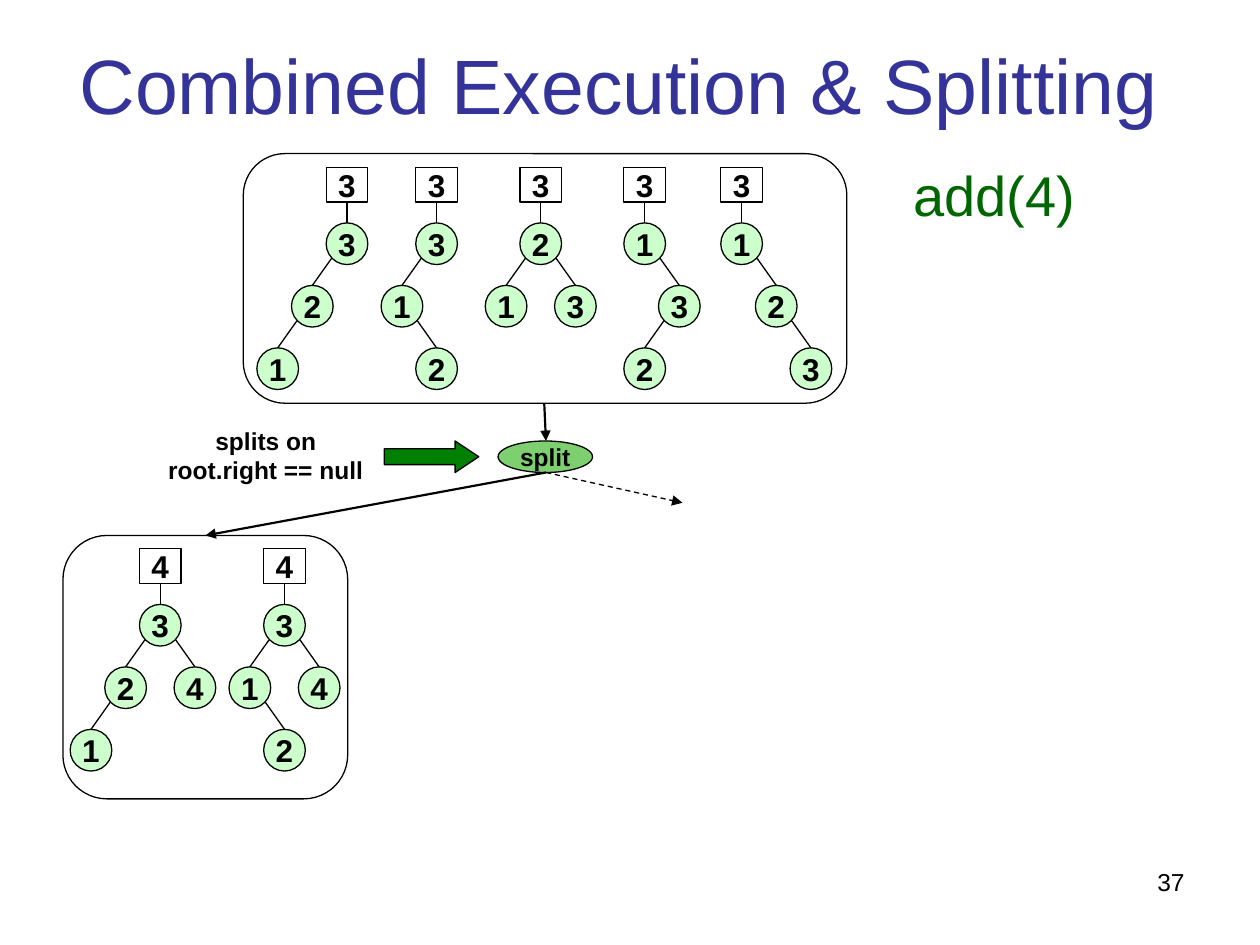
"""Build a slide showing combined execution of add(4) on search trees and a split."""
from lxml import etree
from pptx import Presentation
from pptx.dml.color import RGBColor
from pptx.enum.dml import MSO_LINE
from pptx.enum.shapes import MSO_CONNECTOR, MSO_SHAPE
from pptx.enum.text import MSO_ANCHOR, MSO_AUTO_SIZE, PP_ALIGN
from pptx.oxml.ns import qn
from pptx.util import Pt

STRAIGHT = MSO_CONNECTOR.STRAIGHT
DASH = MSO_LINE.DASH
OVAL, RECTANGLE = MSO_SHAPE.OVAL, MSO_SHAPE.RECTANGLE
ROUNDED, RIGHT_ARROW = MSO_SHAPE.ROUNDED_RECTANGLE, MSO_SHAPE.RIGHT_ARROW
TOP, MIDDLE = MSO_ANCHOR.TOP, MSO_ANCHOR.MIDDLE
LEFT, CENTER, RIGHT = PP_ALIGN.LEFT, PP_ALIGN.CENTER, PP_ALIGN.RIGHT
NO_AUTOSIZE = MSO_AUTO_SIZE.NONE

COLORS = {
    "black": "000000", "white": "FFFFFF", "title": "333399", "call": "006600",
    "node": "CCFFCC", "split": "7DCF6F", "arrow": "008000",
}
NODE, BOX_HEIGHT = 23.8, 19.9
COLUMN_STEP, LEVEL_STEP, ROOT_DROP = 19.8, 35.7, 31.8
EDGE_X, EDGE_Y = 8.8, 20.2


def add_box(shapes, kind, bounds, fill=None, text="", size=18):
    """Add an outlined preset shape with an optional bold centred label."""
    shape = shapes.add_shape(kind, *map(Pt, bounds))
    shape.shadow.inherit = False
    shape.line.color.rgb = RGBColor.from_string(COLORS["black"])
    shape.line.width = Pt(0.75)
    if fill:
        shape.fill.solid()
        shape.fill.fore_color.rgb = RGBColor.from_string(COLORS[fill])
    else:
        shape.fill.background()
    if text:
        shape.text_frame.word_wrap = False
        shape.text_frame.vertical_anchor = MIDDLE
        paragraph = shape.text_frame.paragraphs[0]
        paragraph.text = text
        paragraph.alignment = CENTER
        font_format = {"name": "Arial", "size": Pt(size), "bold": True}
        for name, value in font_format.items():
            setattr(paragraph.font, name, value)
        paragraph.font.color.rgb = RGBColor.from_string(COLORS["black"])
    return shape


def add_line(shapes, points, width=0.75, arrow=False, dash=None):
    """Add a straight black line, optionally dashed or with an arrowhead."""
    line = shapes.add_connector(STRAIGHT, *map(Pt, points))
    line.line.color.rgb = RGBColor.from_string(COLORS["black"])
    line.line.width = Pt(width)
    if dash:
        line.line.dash_style = dash
    properties = line._element.spPr
    if arrow:
        etree.SubElement(properties.find(qn("a:ln")), qn("a:tailEnd"), type="triangle")
    etree.SubElement(properties, qn("a:effectLst"))


presentation = Presentation()
presentation.slide_width, presentation.slide_height = Pt(720), Pt(540)
slide = presentation.slides.add_slide(presentation.slide_layouts[5])

# Each node is (column, level, label, side of its parent).
panels = [
    {"bounds": (139, 87.8, 344.9, 142.6), "top": 95.6, "size": "3", "fill": None, "trees": [
        (198.3, [(0, 0, "3", 0), (-1, 1, "2", -1), (-2, 2, "1", -1)]),
        (249.5, [(0, 0, "3", 0), (-1, 1, "1", -1), (0, 2, "2", 1)]),
        (309, [(0, 0, "2", 0), (-1, 1, "1", -1), (1, 1, "3", 1)]),
        (368.4, [(0, 0, "1", 0), (1, 1, "3", 1), (0, 2, "2", -1)]),
        (423.8, [(0, 0, "1", 0), (1, 1, "2", 1), (2, 2, "3", 1)]),
    ]},
    {"bounds": (36, 306, 162.7, 150.5), "top": 313.6, "size": "4", "fill": "white", "trees": [
        (91.6, [(0, 0, "3", 0), (-1, 1, "2", -1), (1, 1, "4", 1), (-2, 2, "1", -1)]),
        (162.6, [(0, 0, "3", 0), (-1, 1, "1", -1), (1, 1, "4", 1), (0, 2, "2", 1)]),
    ]},
]
for panel in panels:
    shapes = slide.shapes.add_group_shape().shapes
    add_box(shapes, ROUNDED, panel["bounds"])
    box_top = panel["top"]
    root_top = box_top + ROOT_DROP
    for center, nodes in panel["trees"]:
        add_line(shapes, (center, box_top + BOX_HEIGHT, center, root_top))
        box_bounds = (center - NODE / 2, box_top, NODE, BOX_HEIGHT)
        add_box(shapes, RECTANGLE, box_bounds, panel["fill"], panel["size"])
        for column, level, label, side in nodes:
            x = center + column * COLUMN_STEP
            y = root_top + level * LEVEL_STEP
            if side:
                parent_x = x - side * COLUMN_STEP
                parent_y = y - LEVEL_STEP
                add_line(shapes, (parent_x + side * EDGE_X, parent_y + EDGE_Y, x, y))
            add_box(shapes, OVAL, (x - NODE / 2, y, NODE, NODE), "node", label)

add_line(slide.shapes, (311, 230.4, 312, 252), 1.25, arrow=True)
add_box(slide.shapes, OVAL, (284.6, 252, 54, 18), "split", "split", 14)
add_line(slide.shapes, (312, 270, 117.4, 306), 1.25, arrow=True)
add_line(slide.shapes, (312, 270, 390, 287.3), arrow=True, dash=DASH)
split_arrow = add_box(slide.shapes, RIGHT_ARROW, (219.6, 252, 54, 18), "arrow")
split_arrow.adjustments[1] = 0.75

texts = [
    (slide.shapes.title, "Combined Execution & Splitting ", (36, -3.6, 648, 99.4),
     44, "title", False, CENTER, MIDDLE, (0, 0), 1.06),
    (None, "add(4)", (522, 77.8, 162, 64), 32, "call", False, LEFT, MIDDLE, (0, 0), 1.06),
    (None, "splits on root.right == null", (84.2, 239.8, 135.4, 41),
     14, "black", True, CENTER, TOP, (7.2, 3.6), 1.0),
    (None, "37", (516, 492, 168, 37.4), 14, "black", False, RIGHT, TOP, (7.2, 3.6), 1.0),
]
for shape, text, bounds, size, color, bold, alignment, anchor, insets, spacing in texts:
    shape = shape or slide.shapes.add_textbox(*map(Pt, bounds))
    for name, value in zip(("left", "top", "width", "height"), bounds):
        setattr(shape, name, Pt(value))
    frame = shape.text_frame
    frame_format = {
        "word_wrap": True, "auto_size": NO_AUTOSIZE, "vertical_anchor": anchor,
        "margin_left": Pt(insets[0]), "margin_right": Pt(insets[0]),
        "margin_top": Pt(insets[1]), "margin_bottom": Pt(insets[1]),
    }
    for name, value in frame_format.items():
        setattr(frame, name, value)
    paragraph = frame.paragraphs[0]
    paragraph.text = text
    paragraph.alignment = alignment
    paragraph.line_spacing = spacing
    font_format = {"name": "Arial", "size": Pt(size), "bold": bold}
    for name, value in font_format.items():
        setattr(paragraph.font, name, value)
    paragraph.font.color.rgb = RGBColor.from_string(COLORS[color])

presentation.save("out.pptx")
